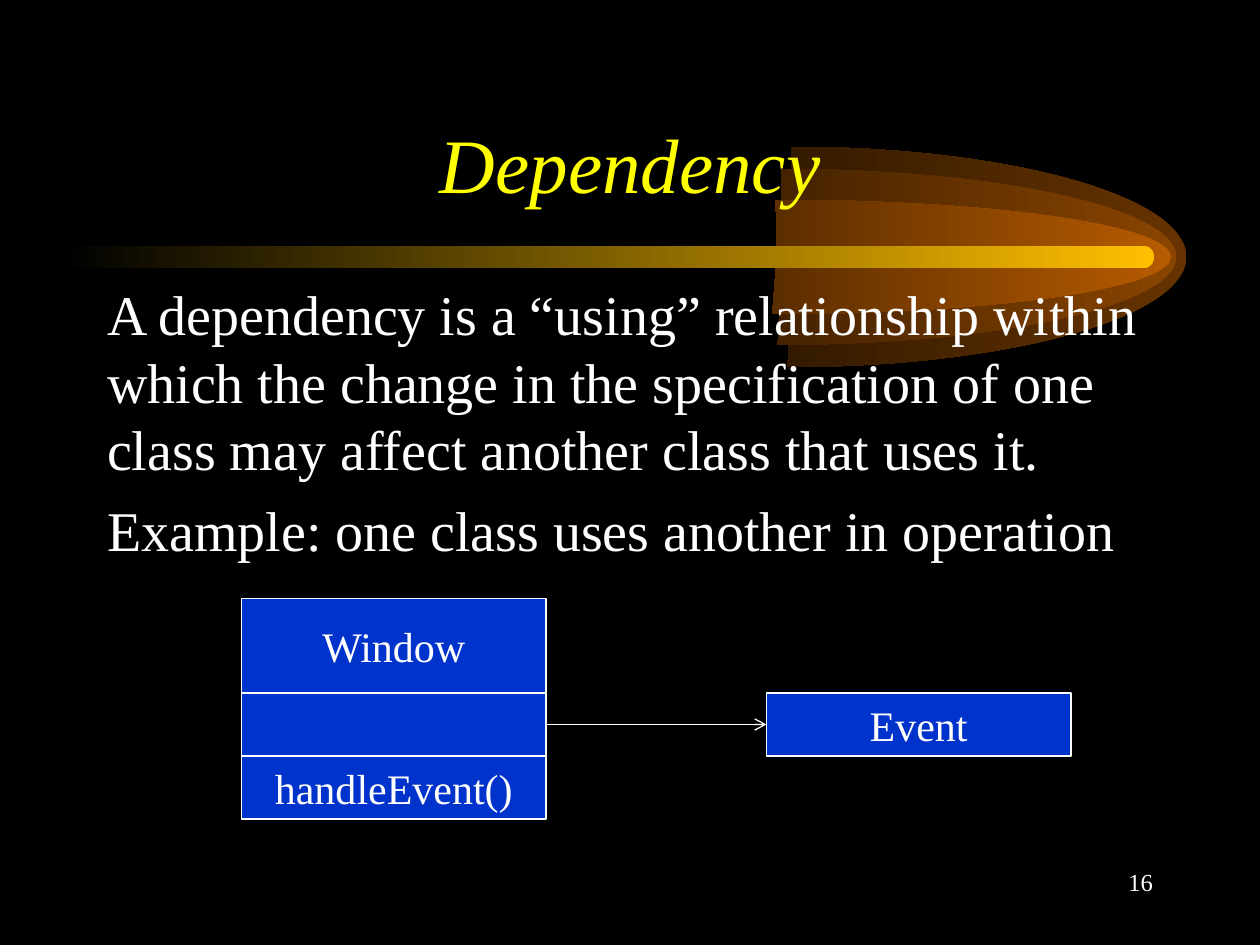
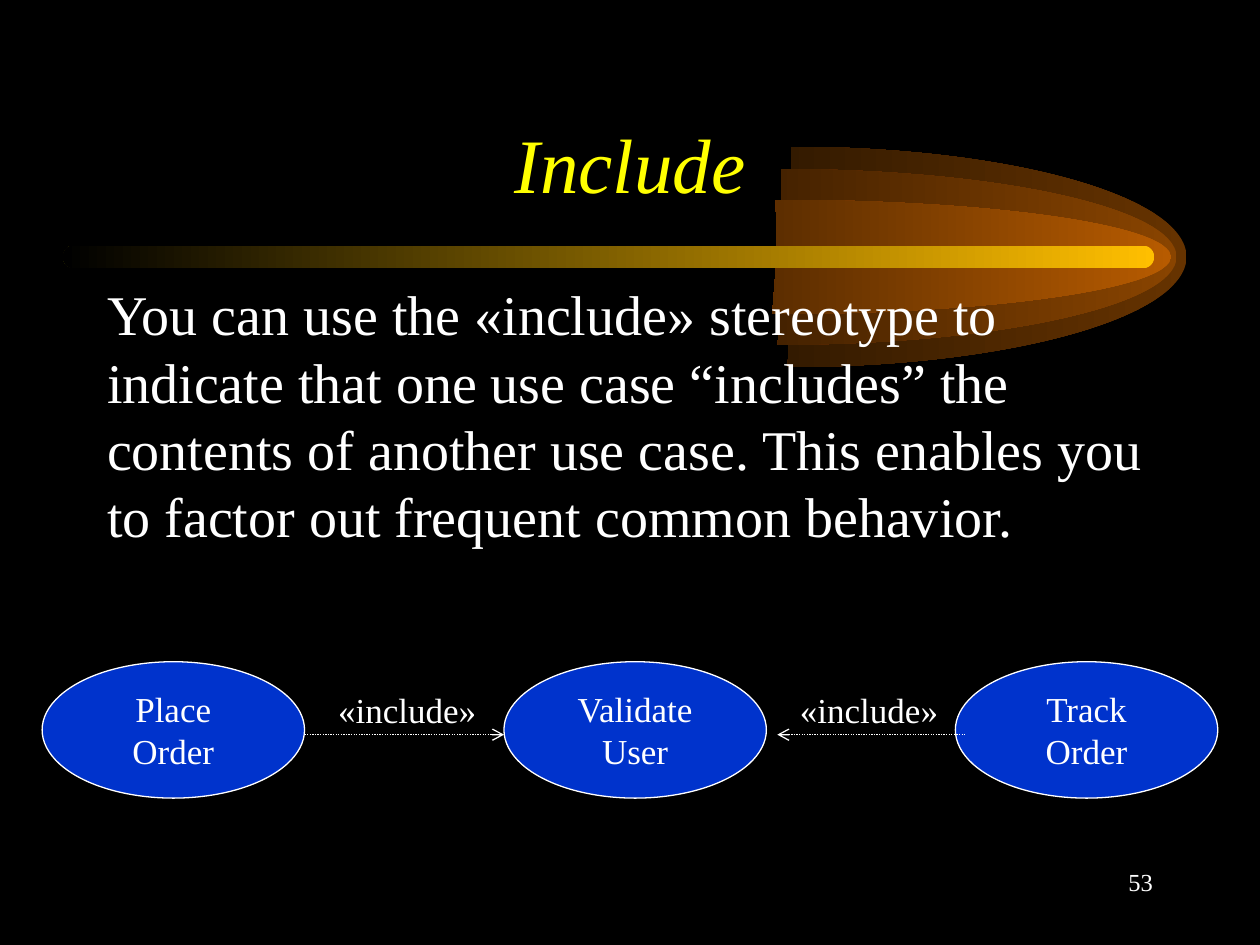
from dataclasses import dataclass

from lxml import etree
from pptx import Presentation
from pptx import util as u
from pptx.dml.color import RGBColor
from pptx.enum import dml, shapes, text
from pptx.oxml import ns

Cm, Pt = u.Cm, u.Pt
SHAPE = shapes.MSO_SHAPE
ALIGN = text.PP_ALIGN
ANCHOR = text.MSO_ANCHOR
ROUND = 0.55  # handle length of a quarter ellipse


@dataclass(frozen=True)
class Theme:
    font: str = "Times New Roman"
    back: str = "000000"
    ink: str = "FFFFFF"
    title: str = "FFFF00"
    box: str = "0033CC"
    bar: str = "FFBF00"
    # centre x, vertical radius, colour at the tip
    comet: tuple = (
        (15.95, 2.22, "663300"),
        (15.75, 1.77, "894400"),
        (15.64, 1.15, "B75B00"),
    )
    title_size: int = 44
    body_size: int = 32
    class_size: int = 24
    case_size: int = 20
    page_size: int = 14
    line: float = 0.75


def rgb(value):
    return RGBColor.from_string(value)


def write(shape, content, *, size, color=Theme.ink, align=ALIGN.CENTER,
          anchor=ANCHOR.MIDDLE, wrap=False, italic=False, gap=0):
    """Fill a shape with one paragraph per line of content."""
    tf = shape.text_frame
    tf.word_wrap = wrap
    tf.vertical_anchor = anchor
    for i, line in enumerate(content.split("\n")):
        p = tf.paragraphs[0] if i == 0 else tf.add_paragraph()
        p.alignment = align
        if i and gap:
            p.space_before = Pt(gap)
        r = p.add_run()
        r.text = line
        r.font.name = Theme.font
        r.font.size = Pt(size)
        r.font.italic = italic
        r.font.color.rgb = rgb(color)


def fade_left(shape, bright):
    """Run a gradient from bright at the right to the background at the left."""
    shape.shadow.inherit = False
    shape.line.fill.background()
    shape.fill.gradient()
    shape.fill.gradient_angle = 180
    for stop, color in zip(shape.fill.gradient_stops, (bright, Theme.back)):
        stop.color.rgb = rgb(color)


def bend(shape):
    """Turn the first two straight sides (top to tip to bottom) into arcs."""
    outline = next(shape._element.iter(ns.qn("a:path")))
    points = [(int(pt.get("x")), int(pt.get("y")))
              for pt in outline.iter(ns.qn("a:pt"))]
    (x0, y0), (x1, y1), (x2, y2) = points[:3]
    arcs = (
        ((x0 + ROUND * (x1 - x0), y0), (x1, y1 + ROUND * (y0 - y1)), (x1, y1)),
        ((x1, y1 + ROUND * (y2 - y1)), (x2 + ROUND * (x1 - x2), y2), (x2, y2)),
    )
    for side, arc in zip(outline.findall(ns.qn("a:lnTo")), arcs):
        curve = etree.Element(ns.qn("a:cubicBezTo"))
        for x, y in arc:
            etree.SubElement(curve, ns.qn("a:pt"), x=str(int(x)), y=str(int(y)))
        outline.replace(side, curve)


class Deck:
    def __init__(self, theme):
        self.theme = theme
        self.prs = Presentation()
        self.prs.slide_width, self.prs.slide_height = Cm(25.4), Cm(19.05)
        self.s = None

    def slide(self, title, body, page):
        t = self.theme
        self.s = self.prs.slides.add_slide(self.prs.slide_layouts[6])
        self.s.background.fill.solid()
        self.s.background.fill.fore_color.rgb = rgb(t.back)
        self.comet()
        self.label(title, 1.91, 1.7, 21.59, 3.18, size=t.title_size,
                   color=t.title, italic=True, wrap=True)
        self.label(body, 1.91, 5.52, 21.59, 11.43, size=t.body_size, gap=8,
                   align=ALIGN.LEFT, anchor=ANCHOR.TOP, wrap=True)
        self.label(str(page), 18.2, 17.35, 5.29, 1.27, size=t.page_size,
                   align=ALIGN.RIGHT, anchor=ANCHOR.TOP, wrap=True)

    def comet(self):
        """Three nested half ellipses behind a fading bar.

        A zero-width spike, under the bar, stretches each gradient over
        the width of the full ellipse.
        """
        middle, reach = 5.18, 7.97
        for cx, ry, color in self.theme.comet:
            notch = (cx + 0.02, middle)
            corners = [(cx, middle - ry), (cx + reach, middle),
                       (cx - 0.07, middle + ry), notch,
                       (cx - reach, middle), notch]
            points = [(Cm(x), Cm(y)) for x, y in corners]
            outline = self.s.shapes.build_freeform(*points[0])
            outline.add_line_segments(points[1:], close=True)
            sp = outline.convert_to_shape()
            bend(sp)
            fade_left(sp, color)
        bar = self.s.shapes.add_shape(SHAPE.ROUNDED_RECTANGLE, Cm(1.27),
                                      Cm(4.95), Cm(22), Cm(0.46))
        bar.adjustments[0] = 0.5
        fade_left(bar, self.theme.bar)

    def label(self, content, x, y, w, h, **style):
        sp = self.s.shapes.add_textbox(Cm(x), Cm(y), Cm(w), Cm(h))
        write(sp, content, **style)

    def box(self, kind, content, x, y, w, h, size):
        sp = self.s.shapes.add_shape(kind, Cm(x), Cm(y), Cm(w), Cm(h))
        sp.shadow.inherit = False
        sp.fill.solid()
        sp.fill.fore_color.rgb = rgb(self.theme.box)
        sp.line.color.rgb = rgb(self.theme.ink)
        sp.line.width = Pt(self.theme.line)
        if content:
            write(sp, content, size=size)

    def arrow(self, left, right, y, tip="a:tailEnd", dotted=False):
        c = self.s.shapes.add_connector(shapes.MSO_CONNECTOR.STRAIGHT,
                                        Cm(left), Cm(y), Cm(right), Cm(y))
        c.line.color.rgb = rgb(self.theme.ink)
        c.line.width = Pt(self.theme.line)
        if dotted:
            c.line.dash_style = dml.MSO_LINE.ROUND_DOT
        ln = c.line._get_or_add_ln()
        etree.SubElement(ln, ns.qn(tip), type="arrow")
        etree.SubElement(c._element.spPr, ns.qn("a:effectLst"))


def dependency(deck):
    deck.slide("Dependency",
               "A dependency is a “using” relationship within which the change "
               "in the specification of one class may affect another class "
               "that uses it.\nExample: one class uses another in operation", 16)
    left, width, row, size = 4.87, 6.14, 1.27, deck.theme.class_size
    event_left, top, name_height = 15.45, 12.07, 1.9
    middle = top + name_height
    for content, x, y, height in (
            ("Window", left, top, name_height),
            ("handleEvent()", left, middle + row, row),
            ("", left, middle, row),
            ("Event", event_left, middle, row)):
        deck.box(SHAPE.RECTANGLE, content, x, y, width, height, size)
    deck.arrow(left + width, event_left, middle + row / 2)


def include(deck):
    deck.slide("Include",
               "You can use the «include» stereotype to indicate that one use "
               "case “includes” the contents of another use case. This enables "
               "you to factor out frequent common behavior.", 53)
    size = deck.theme.case_size
    for content, x in (("Validate\nUser", 10.16), ("Place\nOrder", 0.85),
                       ("Track\nOrder", 19.26)):
        deck.box(SHAPE.OVAL, content, x, 13.34, 5.29, 2.75, size)
    for left, right, tip in ((6.14, 10.16, "a:tailEnd"),
                             (15.67, 19.47, "a:headEnd")):
        deck.arrow(left, right, 14.81, tip, dotted=True)
    for x in (6.56, 15.87):
        deck.label("«include»", x, 13.75, 3.3, 1.12, size=size)


def main():
    deck = Deck(Theme())
    dependency(deck)
    include(deck)
    deck.prs.save("out.pptx")


if __name__ == "__main__":
    main()
